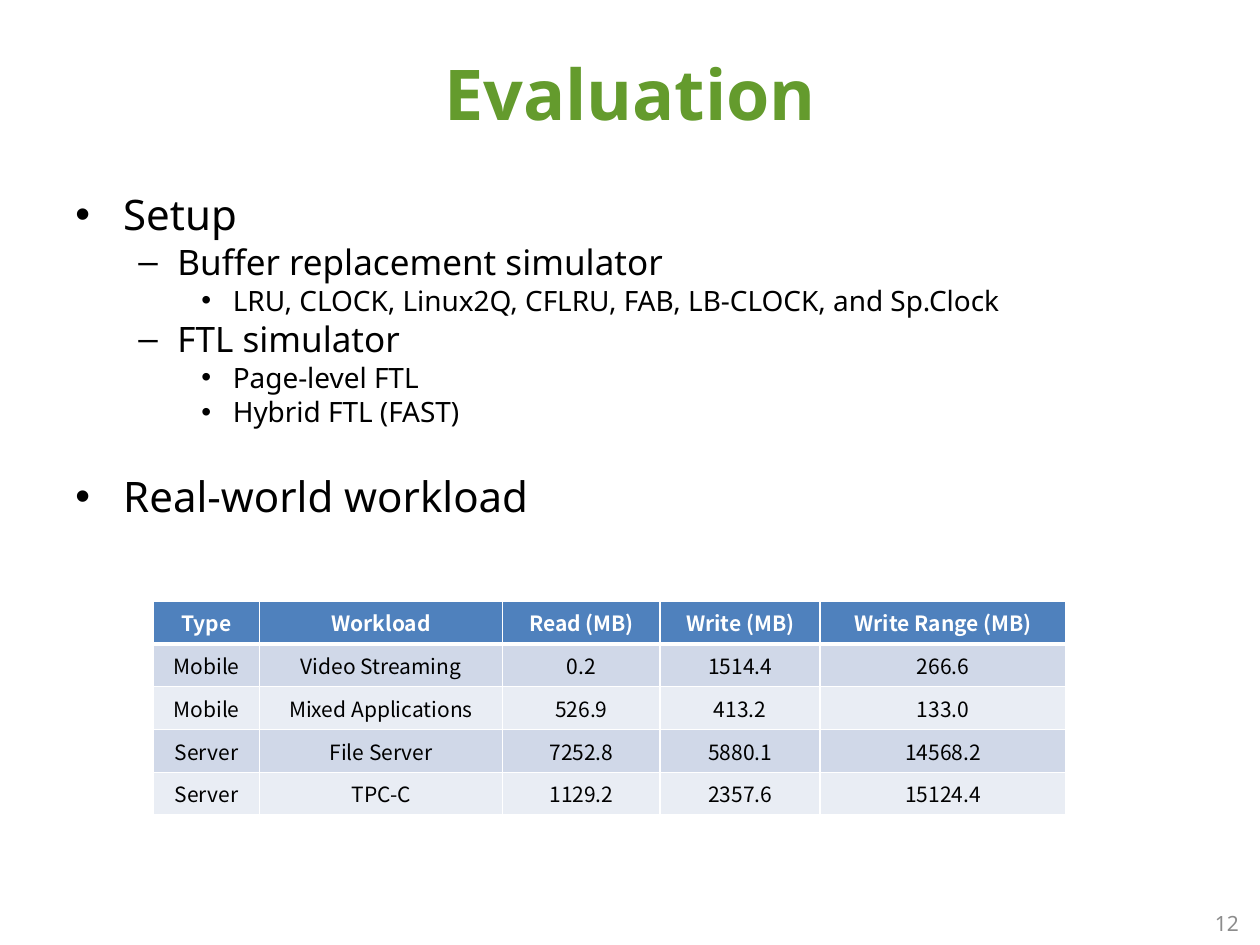
from dataclasses import dataclass

from lxml.etree import SubElement
from pptx import Presentation
from pptx.dml.color import RGBColor
from pptx.enum.text import MSO_ANCHOR as Anchor, PP_ALIGN as Align
from pptx.oxml.ns import qn
from pptx.util import Inches, Pt

COLORS = {
    "title": "649B2D",
    "text": "000000",
    "number": "8C8C8C",
    "white": "FFFFFF",
    "header": "4F81BD",
    "odd": "D0D8E8",
    "even": "E9EDF4",
}
TEXT_FONT = "Noto Sans"
TABLE_FONT = "Noto Sans CJK KR"


@dataclass
class Level:
    size: int
    indent: float
    hanging: float
    bullet: str


@dataclass
class Item:
    text: str
    level: int
    before: float = 0.5


LEVELS = [
    Level(24, 0.38, 0.38, "•"),
    Level(20, 0.81, 0.31, "–"),
    Level(16, 1.25, 0.25, "•"),
]
ITEMS = [
    Item("Setup", 0),
    Item("Buffer replacement simulator", 1),
    Item("LRU, CLOCK, Linux2Q, CFLRU, FAB, LB-CLOCK, and Sp.Clock", 2),
    Item("FTL simulator", 1),
    Item("Page-level FTL", 2),
    Item("Hybrid FTL (FAST)", 2),
    Item("Real-world workload", 0, 24),
]
WORKLOADS = [
    ["Type", "Workload", "Read (MB)", "Write (MB)", "Write Range (MB)"],
    ["Mobile", "Video Streaming", "0.2", "1514.4", "266.6"],
    ["Mobile", "Mixed Applications", "526.9", "413.2", "133.0"],
    ["Server", "File Server", "7252.8", "5880.1", "14568.2"],
    ["Server", "TPC-C", "1129.2", "2357.6", "15124.4"],
]
COLUMN_WIDTHS = [0.84, 1.93, 1.25, 1.27, 1.95]
ROW_HEIGHT = 0.34


def format_text(para, size: float, color: str, font: str = TEXT_FONT,
                bold: bool = False, align=Align.LEFT) -> None:
    para.alignment = align
    for span in para.runs:
        span.font.size = Pt(size)
        span.font.name = font
        span.font.bold = bold
        span.font.color.rgb = RGBColor.from_string(COLORS[color])


def add_box(page, left: float, top: float, width: float, height: float):
    box = page.shapes.add_textbox(Inches(left), Inches(top), Inches(width), Inches(height))
    box.text_frame.word_wrap = True
    return box.text_frame


def add_title(page, text: str) -> None:
    title = page.shapes.title
    title.left, title.top = Inches(0.51), Inches(0.11)
    title.width, title.height = Inches(8.98), Inches(1.25)
    title.text_frame.text = text
    title.text_frame.vertical_anchor = Anchor.MIDDLE
    format_text(title.text_frame.paragraphs[0], 40, "title", bold=True, align=Align.CENTER)


def add_outline(page) -> None:
    frame = add_box(page, 0.5, 1.45, 9, 5.59)
    for index, item in enumerate(ITEMS):
        para = frame.add_paragraph() if index else frame.paragraphs[0]
        level = LEVELS[item.level]
        para.text = item.text
        para.level = item.level
        para.space_before = Pt(item.before)
        format_text(para, level.size, "text")
        properties = para._p.get_or_add_pPr()
        properties.set("marL", str(Inches(level.indent)))
        properties.set("indent", str(-Inches(level.hanging)))
        SubElement(properties, qn("a:buFont"), typeface="Arial")
        SubElement(properties, qn("a:buChar"), char=level.bullet)


def add_borders(cell, bottom: float) -> None:
    properties = cell._tc.get_or_add_tcPr()
    widths = {"a:lnL": 1, "a:lnR": 1, "a:lnT": 1, "a:lnB": bottom}
    for index, (tag, width) in enumerate(widths.items()):
        line = SubElement(properties, qn(tag), w=str(Pt(width)))
        fill = SubElement(line, qn("a:solidFill"))
        SubElement(fill, qn("a:srgbClr"), val=COLORS["white"])
        properties.insert(index, line)


def add_workloads(page) -> None:
    table = page.shapes.add_table(
        len(WORKLOADS), len(COLUMN_WIDTHS), Inches(1.22), Inches(4.77),
        Inches(sum(COLUMN_WIDTHS)), Inches(ROW_HEIGHT * len(WORKLOADS)),
    ).table
    for column, width in zip(table.columns, COLUMN_WIDTHS):
        column.width = Inches(width)
    for row, values in enumerate(WORKLOADS):
        header = row == 0
        shade = "header" if header else "odd" if row % 2 else "even"
        table.rows[row].height = Inches(ROW_HEIGHT)
        for column, value in enumerate(values):
            cell = table.cell(row, column)
            cell.text_frame.text = value
            format_text(cell.text_frame.paragraphs[0], 12, "white" if header else "text",
                        TABLE_FONT, header, Align.CENTER)
            cell.fill.solid()
            cell.fill.fore_color.rgb = RGBColor.from_string(COLORS[shade])
            add_borders(cell, 3 if header else 1)


def add_page_number(page, text: str) -> None:
    frame = add_box(page, 7.6, 7.13, 2.33, 0.4)
    frame.text = text
    frame.vertical_anchor = Anchor.MIDDLE
    format_text(frame.paragraphs[0], 12, "number", align=Align.RIGHT)


deck = Presentation()
deck.slide_width, deck.slide_height = Inches(10), Inches(7.5)
page = deck.slides.add_slide(deck.slide_layouts[5])
add_title(page, "Evaluation")
add_outline(page)
add_page_number(page, "12")
add_workloads(page)
deck.save("out.pptx")
